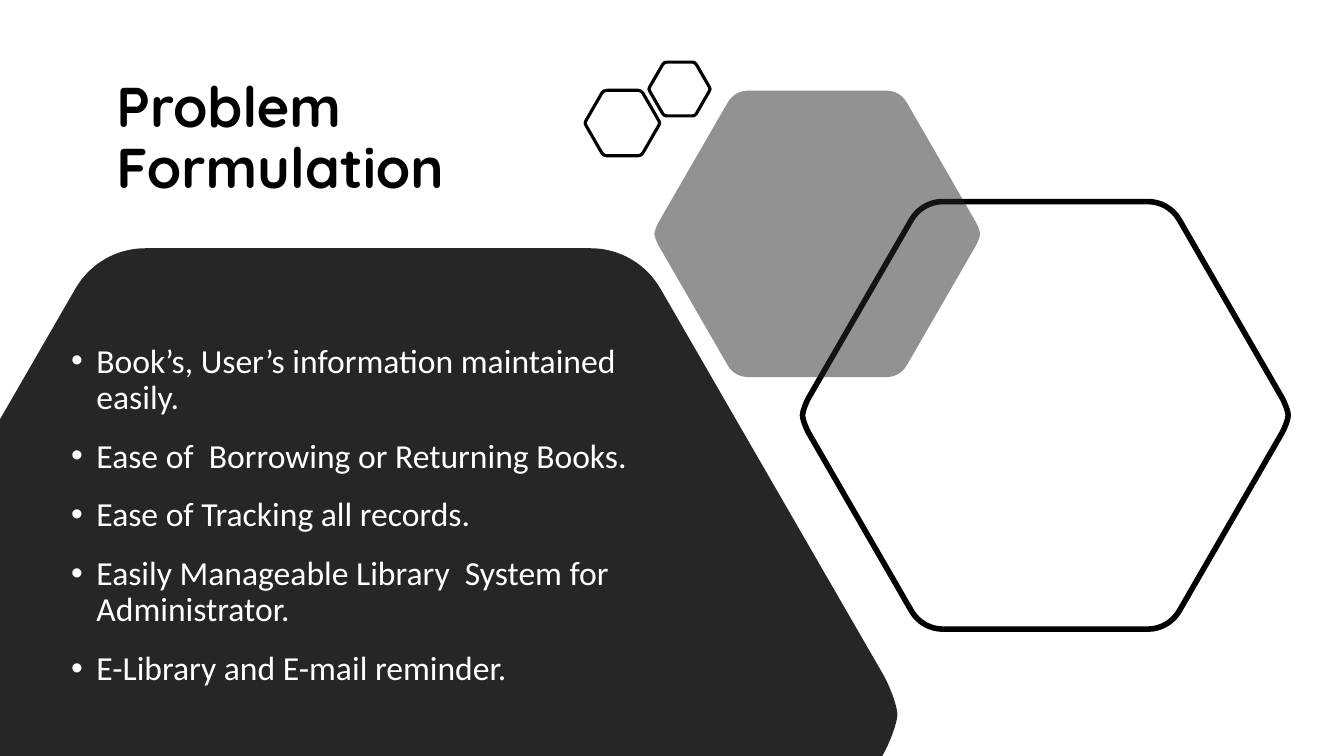
from dataclasses import dataclass
from math import cos, pi, sin, sqrt
from typing import Optional

from lxml.etree import Element, SubElement
from pptx import Presentation
from pptx.dml.color import RGBColor
from pptx.enum.text import MSO_ANCHOR, MSO_AUTO_SIZE, PP_ALIGN
from pptx.oxml.ns import qn
from pptx.shapes.autoshape import Shape
from pptx.slide import Slide
from pptx.text.text import Font
from pptx.util import Emu, Pt

SCALE = 3810
SLIDE_WIDTH, SLIDE_HEIGHT = 3200, 1800
ARC_HANDLE = 0.62

BLACK = RGBColor(0x00, 0x00, 0x00)
CHARCOAL = RGBColor(0x26, 0x26, 0x26)
WHITE = RGBColor(0xFF, 0xFF, 0xFF)

BENEFITS = [
    "Book’s, User’s information maintained easily.",
    "Ease of  Borrowing or Returning Books.",
    "Ease of Tracking all records.",
    "Easily Manageable Library  System for Administrator.",
    "E-Library and E-mail reminder.",
]

Point = tuple[float, float]
Arcs = dict[Point, tuple[Point, Point]]


@dataclass(frozen=True)
class Hexagon:
    center_x: int
    center_y: int
    apothem: int
    corner: int
    fill: Optional[RGBColor] = None
    opacity: int = 100
    line_width: float = 0


HEXAGONS = [
    Hexagon(876, 1701, 1110, 111, fill=CHARCOAL),
    Hexagon(2489, 989, 509, 50, line_width=4),
    Hexagon(1946, 557, 341, 32, fill=CHARCOAL, opacity=50),
    Hexagon(1482, 293, 78, 8, line_width=2.25),
    Hexagon(1618, 212, 64, 6, line_width=2.25),
]


def px(length: float) -> Emu:
    return Emu(round(length * SCALE))


def between(start: Point, end: Point, share: float) -> Point:
    return (start[0] + (end[0] - start[0]) * share,
            start[1] + (end[1] - start[1]) * share)


def rounded_outline(hexagon: Hexagon) -> tuple[list[Point], Arcs]:
    radius = hexagon.apothem * 2 / sqrt(3)
    corners = [(hexagon.center_x + radius * cos(index * pi / 3),
                hexagon.center_y + radius * sin(index * pi / 3)) for index in range(6)]
    points: list[Point] = []
    arcs: Arcs = {}
    for index, corner in enumerate(corners):
        start = between(corner, corners[index - 1], hexagon.corner / radius)
        end = between(corner, corners[(index + 1) % 6], hexagon.corner / radius)
        first = between(start, corner, ARC_HANDLE)
        second = between(end, corner, ARC_HANDLE)
        points.append(start)
        if index % 3 == 0:
            middle = between(first, second, 0.5)
            left_start, right_end = between(start, first, 0.5), between(second, end, 0.5)
            left_end = between(first, middle, 0.5)
            right_start = between(middle, second, 0.5)
            tip = between(left_end, right_start, 0.5)
            points.append(tip)
            arcs[tip] = (left_start, left_end)
            arcs[end] = (right_start, right_end)
        else:
            arcs[end] = (first, second)
        points.append(end)
    return points, arcs


def clip(points: list[Point], axis: int, limit: float, side: int) -> list[Point]:
    kept = []
    for index, point in enumerate(points):
        previous = points[index - 1]
        depth = (point[axis] - limit) * side
        previous_depth = (previous[axis] - limit) * side
        if depth * previous_depth < 0:
            kept.append(between(previous, point, previous_depth / (previous_depth - depth)))
        if depth >= 0:
            kept.append(point)
    return kept


def bend_corners(shape: Shape, points: list[Point], arcs: Arcs) -> None:
    segments = list(shape._element.iter(qn("a:lnTo")))
    for segment, point in zip(segments, points[1:]):
        if point not in arcs:
            continue
        curve = Element(qn("a:cubicBezTo"))
        for x, y in (*arcs[point], point):
            SubElement(curve, qn("a:pt"), x=str(px(x) - shape.left), y=str(px(y) - shape.top))
        segment.getparent().replace(segment, curve)


def draw_hexagon(slide: Slide, hexagon: Hexagon) -> None:
    outline, arcs = rounded_outline(hexagon)
    outline = clip(clip(outline, 0, 0, 1), 1, SLIDE_HEIGHT, -1)
    points = [(px(x), px(y)) for x, y in outline]
    builder = slide.shapes.build_freeform(*points[0], scale=1.0)
    builder.add_line_segments(points[1:], close=True)
    shape = builder.convert_to_shape()
    bend_corners(shape, outline, arcs)
    shape.shadow.inherit = False
    if hexagon.fill is None:
        shape.fill.background()
    else:
        shape.fill.solid()
        shape.fill.fore_color.rgb = hexagon.fill
        if hexagon.opacity < 100:
            color = shape.fill._xPr.find(qn("a:solidFill"))[0]
            SubElement(color, qn("a:alpha"), val=str(hexagon.opacity * 1000))
    if hexagon.line_width:
        shape.line.color.rgb = BLACK
        shape.line.width = Pt(hexagon.line_width)
    else:
        shape.line.fill.background()


def format_font(font: Font, name: str, size: int, color: RGBColor, bold: bool) -> None:
    font.name = name
    font.size = Pt(size)
    font.color.rgb = color
    font.bold = bold


def write_title(slide: Slide) -> None:
    title = slide.shapes.title
    title.left, title.top, title.width, title.height = px(253), px(117), px(1123), px(432)
    text_frame = title.text_frame
    text_frame.text = "Problem Formulation"
    text_frame.word_wrap = True
    text_frame.auto_size = MSO_AUTO_SIZE.NONE
    text_frame.vertical_anchor = MSO_ANCHOR.MIDDLE
    paragraph = text_frame.paragraphs[0]
    paragraph.alignment = PP_ALIGN.LEFT
    paragraph.line_spacing = 0.9
    format_font(paragraph.runs[0].font, "Quicksand", 40, BLACK, True)


def write_benefits(slide: Slide) -> None:
    text_box = slide.shapes.add_textbox(px(131), px(808), px(1414), px(874))
    text_frame = text_box.text_frame
    text_frame.word_wrap = True
    text_frame.text = "\n".join(BENEFITS)
    for index, paragraph in enumerate(text_frame.paragraphs):
        properties = paragraph._p.get_or_add_pPr()
        properties.set("marL", str(px(75)))
        properties.set("indent", str(px(-60)))
        SubElement(properties, qn("a:buFont"), typeface="Arial")
        SubElement(properties, qn("a:buChar"), char="•")
        paragraph.line_spacing = 0.9
        paragraph.space_before = Pt(10 if index else 0)
        paragraph.space_after = Pt(6)
        format_font(paragraph.runs[0].font, "Calibri", 24, WHITE, False)


def main() -> None:
    presentation = Presentation()
    presentation.slide_width = px(SLIDE_WIDTH)
    presentation.slide_height = px(SLIDE_HEIGHT)
    slide = presentation.slides.add_slide(presentation.slide_layouts[5])
    write_title(slide)
    for hexagon in HEXAGONS:
        draw_hexagon(slide, hexagon)
    write_benefits(slide)
    presentation.save("out.pptx")


if __name__ == "__main__":
    main()
